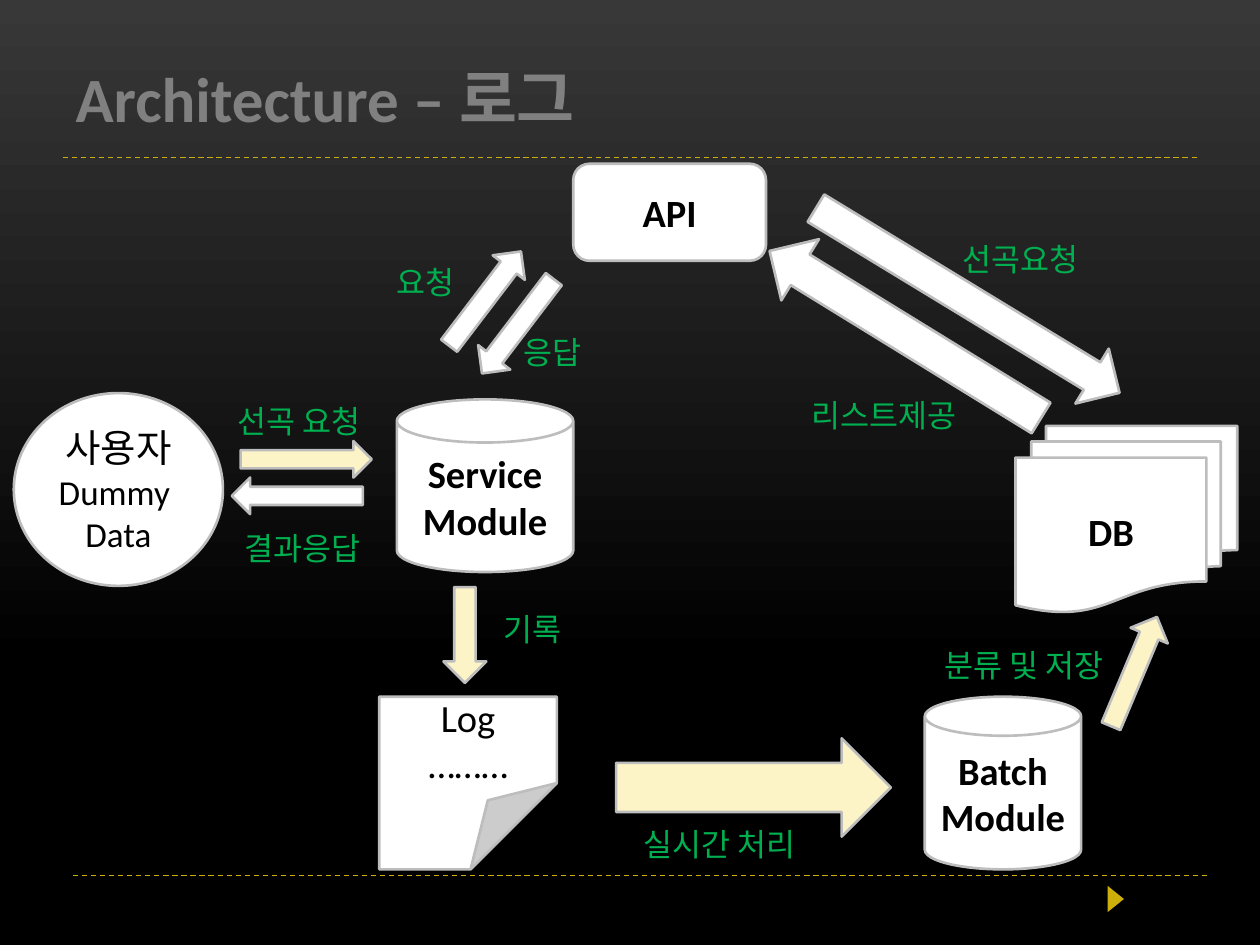
from lxml import etree
from pptx import Presentation
from pptx.dml.color import RGBColor
from pptx.enum.dml import MSO_LINE
from pptx.enum.shapes import MSO_CONNECTOR, MSO_SHAPE
from pptx.enum.text import MSO_ANCHOR, MSO_AUTO_SIZE, PP_ALIGN
from pptx.oxml.ns import qn
from pptx.util import Inches, Pt

BLACK = RGBColor(0x00, 0x00, 0x00)
CHARCOAL = RGBColor(0x38, 0x38, 0x38)
GRAY = RGBColor(0x80, 0x80, 0x80)
SILVER = RGBColor(0xBD, 0xBD, 0xBD)
WHITE = RGBColor(0xFF, 0xFF, 0xFF)
CREAM = RGBColor(0xFC, 0xF4, 0xC7)
GOLD = RGBColor(0xCC, 0xAF, 0x0A)
GREEN = RGBColor(0x00, 0xB0, 0x50)

CAN = MSO_SHAPE.CAN
RIGHT_ARROW = MSO_SHAPE.RIGHT_ARROW
DOWN_ARROW = MSO_SHAPE.DOWN_ARROW
FONT = "Calibri"

# kind, box, lines, bold, sizes
COMPONENTS = [
    (CAN, (3.15, 3.17, 1.4, 1.37), ["Service", "Module"], True, (22, 22)),
    (CAN, (7.34, 5.53, 1.24, 1.37), ["Batch", "Module"], True, (22, 22)),
    (MSO_SHAPE.FOLDED_CORNER, (3.01, 5.53, 1.41, 1.37), ["Log", "………"], False, (22, 22)),
    (MSO_SHAPE.FLOWCHART_MULTIDOCUMENT, (8.06, 3.38, 1.76, 1.48), ["DB"], True, (22,)),
    (MSO_SHAPE.ROUNDED_RECTANGLE, (4.55, 1.3, 1.53, 0.77), ["API"], True, (22,)),
    (MSO_SHAPE.OVAL, (0.11, 3.12, 1.66, 1.53), ["사용자", "Dummy ", "Data"], False, (22, 20, 20)),
]

# kind, box, rotation, colour
FLOWS = [
    (RIGHT_ARROW, (3.31, 4.87, 0.76, 0.34), 90, CREAM),
    (RIGHT_ARROW, (3.38, 2.21, 0.94, 0.32), 307.3, WHITE),
    (RIGHT_ARROW, (3.64, 2.43, 0.94, 0.32), 127.3, WHITE),
    (RIGHT_ARROW, (1.91, 3.5, 1.04, 0.29), 0, CREAM),
    (RIGHT_ARROW, (1.84, 3.79, 1.04, 0.29), 180, WHITE),
    (RIGHT_ARROW, (8.53, 5.17, 0.94, 0.32), 292.8, CREAM),
    (RIGHT_ARROW, (4.89, 5.86, 2.18, 0.78), 0, CREAM),
    (RIGHT_ARROW, (6.27, 2.13, 2.82, 0.51), 31.3, WHITE),
    (DOWN_ARROW, (6.9, 1.39, 0.57, 2.53), 121.6, WHITE),
]

FLOW_LABELS = [
    ("선곡 요청", (1.79, 3.14, 1.31, 0.4)),
    ("요청", (3.05, 2.04, 1.24, 0.4)),
    ("응답", (4.06, 2.59, 0.79, 0.36)),
    ("선곡요청", (7.54, 1.86, 1.46, 0.36)),
    ("리스트제공", (6.34, 3.09, 1.46, 0.36)),
    ("실시간 처리", (5.01, 6.5, 1.7, 0.36)),
    ("분류 및 저장", (7.4, 5.08, 1.78, 0.36)),
    ("기록", (3.9, 4.79, 0.79, 0.36)),
    ("결과응답", (1.84, 4.15, 1.3, 0.4)),
]


def inches(box):
    return [Inches(length) for length in box]


def style_font(paragraph, size, color, bold=False):
    font = paragraph.font
    font.name = FONT
    font.size = Pt(size)
    font.bold = bold
    font.color.rgb = color


def set_background(slide):
    """Fade from black at the bottom to charcoal at the top."""
    slide.background.fill.solid()
    solid = slide.element.find(".//" + qn("p:bgPr")).find(qn("a:solidFill"))
    gradient = etree.Element(qn("a:gradFill"), rotWithShape="1")
    stop_list = etree.SubElement(gradient, qn("a:gsLst"))
    for percent, color in [(0, BLACK), (30, BLACK), (100, CHARCOAL)]:
        stop = etree.SubElement(stop_list, qn("a:gs"), pos=str(percent * 1000))
        etree.SubElement(stop, qn("a:srgbClr"), val=str(color))
    etree.SubElement(gradient, qn("a:lin"), ang=str(270 * 60000), scaled="0")
    solid.getparent().replace(solid, gradient)


def add_title(slide, text):
    title = slide.shapes.title
    title.left, title.top, title.width, title.height = inches((0.5, 0.42, 9, 0.71))
    frame = title.text_frame
    frame.text = text
    frame.auto_size = MSO_AUTO_SIZE.NONE
    frame.vertical_anchor = MSO_ANCHOR.MIDDLE
    frame.paragraphs[0].alignment = PP_ALIGN.LEFT
    style_font(frame.paragraphs[0], 36, GRAY, True)


def add_rule(slide, left, top):
    rule = slide.shapes.add_connector(
        MSO_CONNECTOR.STRAIGHT, *inches((left, top, left + 9, top)))
    rule.line.color.rgb = GOLD
    rule.line.width = Pt(0.75)
    rule.line.dash_style = MSO_LINE.DASH
    properties = rule._element.find(qn("p:spPr"))
    etree.SubElement(properties, qn("a:effectLst"))


def add_filled_shape(slide, kind, box, color, rotation=0):
    shape = slide.shapes.add_shape(kind, *inches(box))
    shape.rotation = rotation
    shape.shadow.inherit = False
    shape.fill.solid()
    shape.fill.fore_color.rgb = color
    shape.line.color.rgb = SILVER
    shape.line.width = Pt(1.5)
    return shape


def add_component(slide, kind, box, lines, bold, sizes):
    component = add_filled_shape(slide, kind, box, WHITE)
    if kind == MSO_SHAPE.FOLDED_CORNER:
        # The preset starts without a listed adjustment, so it is written out.
        guides = component._element.find(".//" + qn("a:avLst"))
        guides.clear()
        etree.SubElement(guides, qn("a:gd"), name="adj", fmla="val 50000")
    frame = component.text_frame
    frame.text = "\n".join(lines)
    frame.vertical_anchor = MSO_ANCHOR.MIDDLE
    for paragraph, size in zip(frame.paragraphs, sizes):
        paragraph.alignment = PP_ALIGN.CENTER
        style_font(paragraph, size, BLACK, bold)


def add_flow_label(slide, text, box):
    frame = slide.shapes.add_textbox(*inches(box)).text_frame
    frame.word_wrap = True
    frame.auto_size = MSO_AUTO_SIZE.SHAPE_TO_FIT_TEXT
    frame.text = text
    style_font(frame.paragraphs[0], 18, GREEN)


def main():
    presentation = Presentation()
    presentation.slide_width = Inches(10)
    presentation.slide_height = Inches(7.5)
    slide = presentation.slides.add_slide(presentation.slide_layouts[5])

    set_background(slide)
    add_rule(slide, 0.58, 6.95)
    add_rule(slide, 0.5, 1.25)
    page_marker = add_filled_shape(
        slide, MSO_SHAPE.ISOSCELES_TRIANGLE, (8.75, 7.07, 0.21, 0.13), GOLD, 90)
    page_marker.line.fill.background()
    add_title(slide, "Architecture – 로그")

    for component in COMPONENTS:
        add_component(slide, *component)
    for kind, box, rotation, color in FLOWS:
        add_filled_shape(slide, kind, box, color, rotation)
    for text, box in FLOW_LABELS:
        add_flow_label(slide, text, box)

    presentation.save("out.pptx")


if __name__ == "__main__":
    main()
